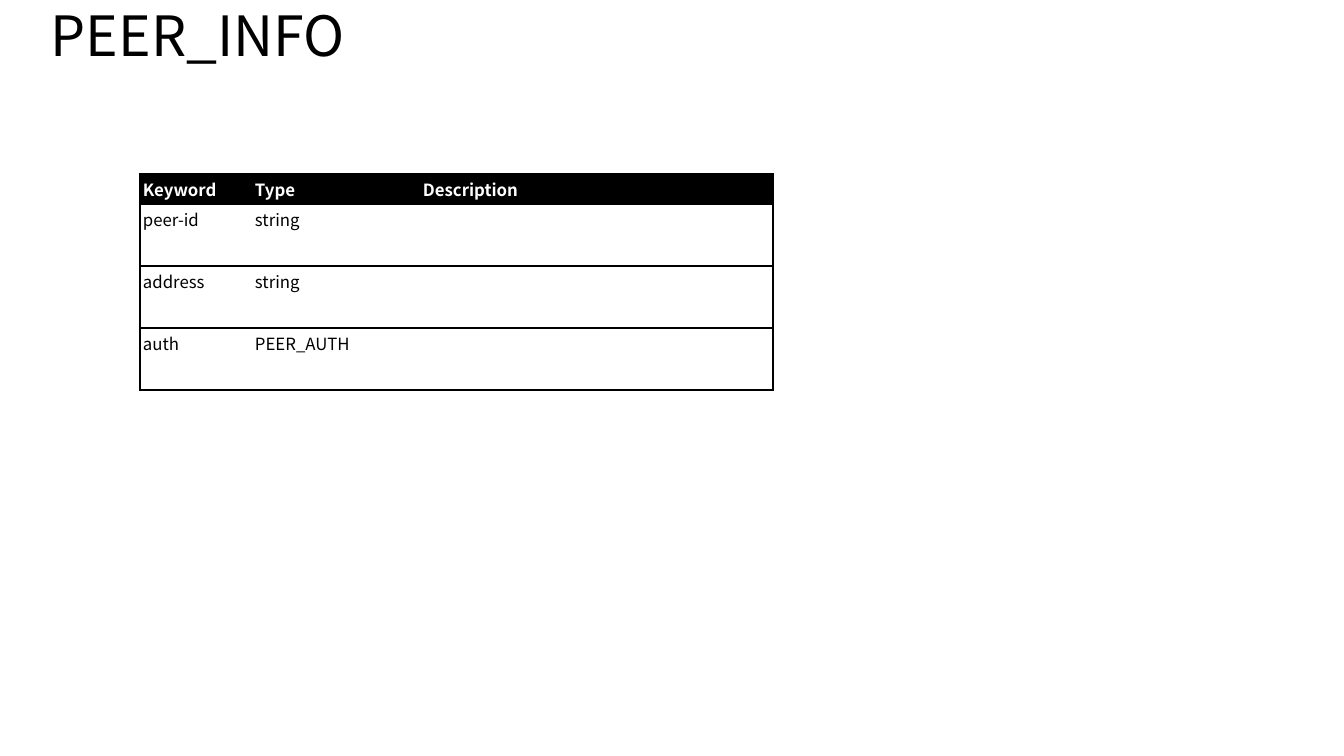
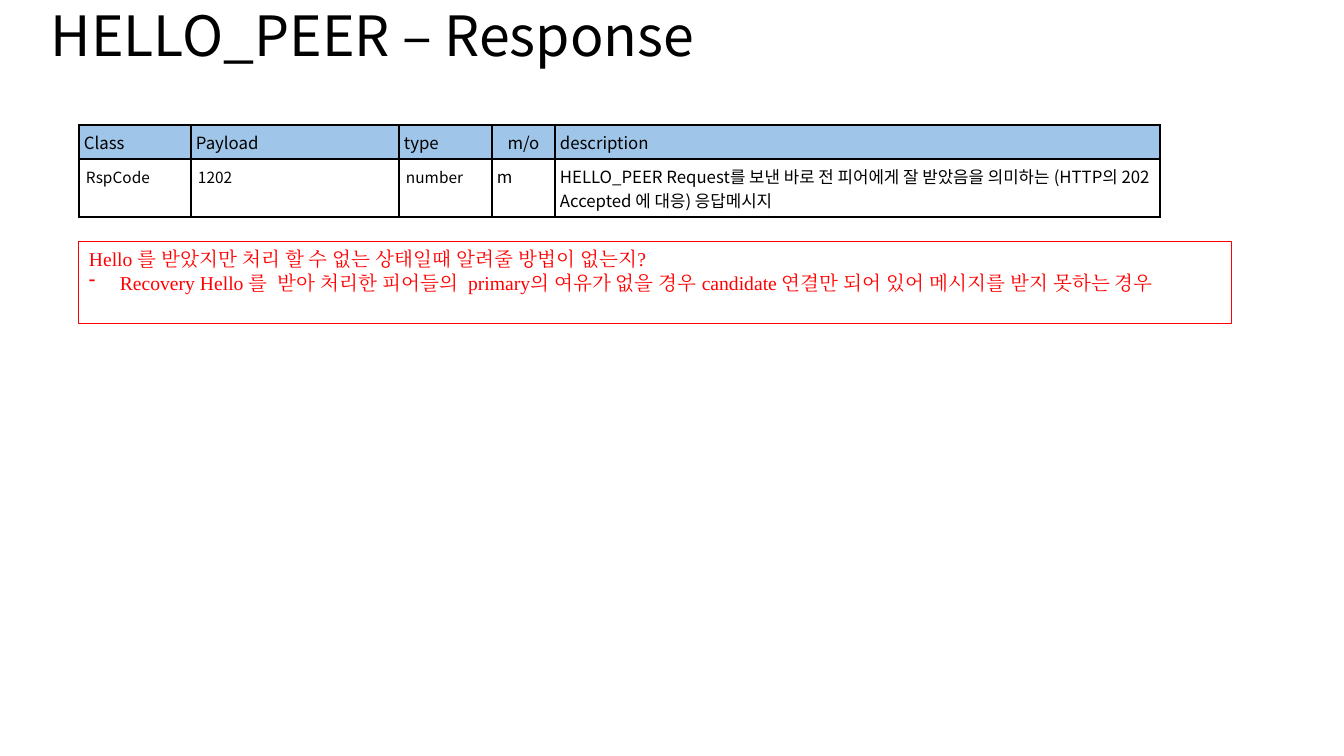
from pptx import Presentation
from pptx.dml.color import RGBColor
from pptx.enum.shapes import MSO_SHAPE as SHAPE
from pptx.enum.text import MSO_ANCHOR as ANCHOR, PP_ALIGN as ALIGN
from pptx.oxml.ns import qn
from pptx.util import Emu, Pt
from lxml.etree import SubElement, Element

SANS, SERIF = "Noto Sans CJK KR", "Times New Roman"
BLACK, WHITE, BLUE, RED = "000000", "FFFFFF", "9FC5E8", "FF0000"


def px(n):
    return Emu(round(n * 914400 / 100.8))


def rgb(value):
    return RGBColor.from_string(value)


class Deck:
    """Holds the shared style and the current slide."""

    title_format = dict(name=SANS, size=Pt(39.6))
    cell_format = dict(name=SANS, size=Pt(12), bold=False)
    note_format = dict(name=SERIF, size=Pt(14))

    def __init__(self):
        self.prs = Presentation()
        self.prs.slide_width, self.prs.slide_height = px(1344), px(756)

    def add_text(self, p, text, color, formats):
        r = p.add_run()
        r.text = text
        for name, value in formats.items():
            setattr(r.font, name, value)
        r.font.color.rgb = rgb(color)
        latin = r._r.get_or_add_rPr().find(qn("a:latin"))
        latin.addnext(Element(qn("a:ea"), typeface=formats["name"]))

    def slide(self, title):
        self.s = self.prs.slides.add_slide(self.prs.slide_layouts[6])
        tf = self.s.shapes.add_textbox(px(41), px(2), px(1257), px(73)).text_frame
        tf.word_wrap = True
        tf.vertical_anchor = ANCHOR.MIDDLE
        p = tf.paragraphs[0]
        p.line_spacing = 0.9
        self.add_text(p, title, BLACK, self.title_format)

    def border(self, cell, sides):
        tcPr = cell._tc.get_or_add_tcPr()
        for i, side in enumerate("LRTB"):
            ln = Element(qn("a:ln" + side), w=str(Pt(1)))
            if side in sides:
                fill = SubElement(ln, qn("a:solidFill"))
                SubElement(fill, qn("a:srgbClr"), val=BLACK)
            else:
                SubElement(ln, qn("a:noFill"))
            tcPr.insert(i, ln)

    def table(self, x, y, cols, heights, rows, head, inset, grid=True, small=()):
        head_fill, head_color, head_bold = head
        tbl = self.s.shapes.add_table(len(rows), len(cols), px(x), px(y),
                                      px(sum(cols)), px(sum(heights))).table
        tbl.first_row = tbl.horz_banding = False
        for col, width in zip(tbl.columns, cols):
            col.width = px(width)
        for i, (row, height, texts) in enumerate(zip(tbl.rows, heights, rows)):
            row.height = px(height)
            for j, (cell, text) in enumerate(zip(row.cells, texts)):
                is_small = i > 0 and j in small
                for side in ("left", "right", "top", "bottom"):
                    setattr(cell, "margin_" + side, px(7 if is_small else inset))
                cell.fill.solid()
                cell.fill.fore_color.rgb = rgb(WHITE if i else head_fill)
                left = "L" if grid or j == 0 else ""
                right = "R" if grid or j == len(cols) - 1 else ""
                self.border(cell, "TB" + left + right)
                p = cell.text_frame.paragraphs[0]
                if text == "m/o":
                    p.alignment = ALIGN.CENTER
                if text:
                    formats = dict(self.cell_format, bold=head_bold and i == 0)
                    if is_small:
                        formats["size"] = Pt(11)
                    self.add_text(p, text, BLACK if i else head_color, formats)

    def note(self, x, y, w, h, lead, points):
        sp = self.s.shapes.add_shape(SHAPE.RECTANGLE, px(x), px(y), px(w), px(h))
        sp.shadow.inherit = False
        sp.fill.background()
        sp.line.color.rgb = rgb(RED)
        sp.line.width = Pt(0.75)
        tf = sp.text_frame
        tf.word_wrap = True
        tf.vertical_anchor = ANCHOR.TOP
        for i, text in enumerate([lead, *points]):
            p = tf.add_paragraph() if i else tf.paragraphs[0]
            p.alignment = ALIGN.LEFT
            if i:
                pPr = p._p.get_or_add_pPr()
                pPr.set("marL", str(px(31)))
                pPr.set("indent", str(-px(31)))
                SubElement(pPr, qn("a:buChar"), char="-")
            self.add_text(p, text, RED, self.note_format)


def main():
    deck = Deck()

    deck.slide("PEER_INFO")
    deck.table(140, 174, [112, 168, 353], [30, 62, 62, 62], [
        ["Keyword", "Type", "Description"],
        ["peer-id", "string", ""],
        ["address", "string", ""],
        ["auth", "PEER_AUTH", ""],
    ], head=(BLACK, WHITE, True), inset=3, grid=False)

    deck.slide("HELLO_PEER – Response")
    deck.table(79, 125, [112, 208, 93, 63, 605], [34, 58], [
        ["Class", "Payload", "type", "m/o", "description"],
        ["RspCode", "1202", "number", "m",
         "HELLO_PEER Request를 보낸 바로 전 피어에게 잘 받았음을 의미하는 "
         "(HTTP의 202 Accepted 에 대응) 응답메시지"],
    ], head=(BLUE, BLACK, False), inset=5, small=(0, 1, 2))
    deck.note(79, 242, 1153, 82,
              "Hello 를 받았지만 처리 할 수 없는 상태일때 알려줄 방법이 없는지?",
              ["Recovery Hello 를  받아 처리한 피어들의  primary의 여유가 없을 경우 "
               "candidate 연결만 되어 있어 메시지를 받지 못하는 경우"])

    deck.prs.save("out.pptx")


if __name__ == "__main__":
    main()
